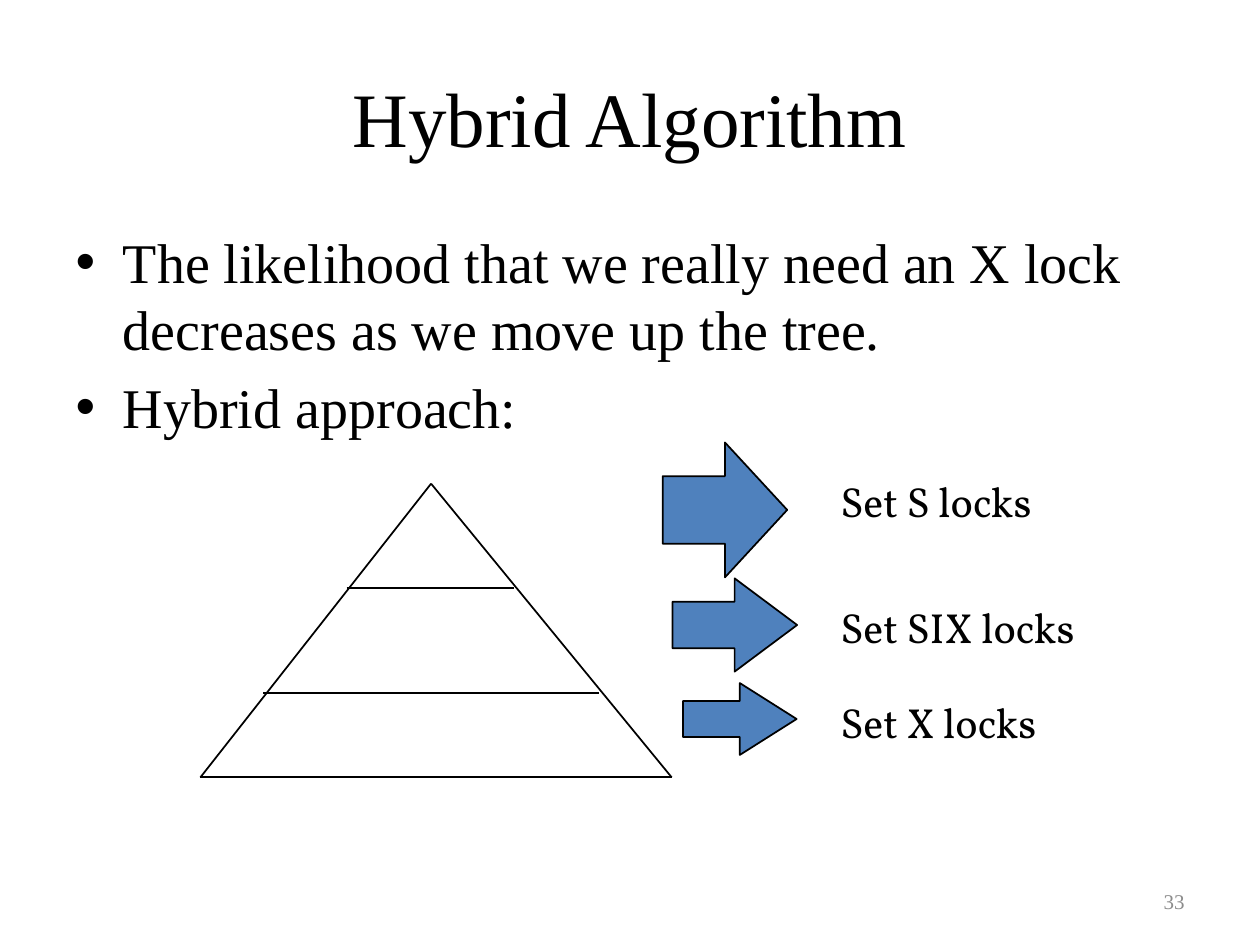
from lxml import etree
from pptx import Presentation, util as u
from pptx.dml.color import RGBColor
from pptx.enum import shapes, text
from pptx.oxml.ns import qn

BLACK = RGBColor(0, 0, 0)
BLUE = RGBColor(0x4F, 0x81, 0xBD)
GREY = RGBColor(0x8C, 0x8C, 0x8C)
SERIF = "Times New Roman"


def place(shape, *box):
    for name, val in zip(("left", "top", "width", "height"), box):
        setattr(shape, name, u.Cm(val))


def style(frame, size, face, color, align=None):
    for para in frame.paragraphs:
        para.alignment = align
        for run in para.runs:
            for name, val in {"size": u.Pt(size), "name": face}.items():
                setattr(run.font, name, val)
            run.font.color.rgb = color


deck = Presentation()
deck.slide_width, deck.slide_height = u.Cm(25.4), u.Cm(19.05)
slide = deck.slides.add_slide(deck.slide_layouts[1])
parts = slide.shapes

# Title and bullets
title, body = slide.placeholders
place(title, 1.27, 0.76, 22.86, 3.18)
title.text_frame.text = "Hybrid Algorithm"
style(title.text_frame, 44, SERIF, BLACK, text.PP_ALIGN.CENTER)

place(body, 1.27, 4.45, 22.86, 12.57)
body.text_frame.text = (
    "The likelihood that we really need an X lock decreases as we move up the tree.\n"
    "Hybrid approach:"
)
style(body.text_frame, 32, SERIF, BLACK)

# Tree: two sides, the base and two level lines
top, left, right = (8.69, 9.75), (4.04, 15.67), (13.54, 15.67)
for start, end in (
    (top, left),
    (top, right),
    (left, right),
    ((6.99, 11.86), (10.36, 11.86)),
    ((5.31, 13.97), (12.07, 13.97)),
):
    ends = [u.Cm(val) for val in start + end]
    line = parts.add_connector(shapes.MSO_CONNECTOR.STRAIGHT, *ends)
    line.line.color.rgb = BLACK
    line.line.width = u.Pt(1)
    etree.SubElement(line.element.spPr, qn("a:effectLst"))

# Arrows, each with its lock label
for box, head, label, label_top, wide in (
    ((13.36, 8.92, 2.51, 2.72), 0.5, "Set S locks", 9.47, 4.42),
    ((13.56, 11.66, 2.51, 1.88), 0.67, "Set SIX locks", 12.01, 5.26),
    ((13.77, 13.77, 2.29, 1.45), 0.79, "Set X locks", 13.92, 4.55),
):
    arrow = parts.add_shape(shapes.MSO_SHAPE.RIGHT_ARROW, *map(u.Cm, box))
    arrow.adjustments[1] = head
    arrow.shadow.inherit = False
    arrow.fill.solid()
    arrow.fill.fore_color.rgb = BLUE
    arrow.line.color.rgb = BLACK
    arrow.line.width = u.Pt(1)

    note = parts.add_textbox(*map(u.Cm, (16.69, label_top, wide, 1.27)))
    note.text_frame.text = label
    note.text_frame.word_wrap = False
    note.text_frame.auto_size = text.MSO_AUTO_SIZE.SHAPE_TO_FIT_TEXT
    style(note.text_frame, 24, "Vollkorn", BLACK)

# Page number
page = parts.add_textbox(*map(u.Cm, (18.21, 17.65, 5.92, 1.02)))
page.text_frame.text = "33"
page.text_frame.word_wrap = True
page.text_frame.vertical_anchor = text.MSO_ANCHOR.MIDDLE
style(page.text_frame, 12, SERIF, GREY, text.PP_ALIGN.RIGHT)

deck.save("out.pptx")
